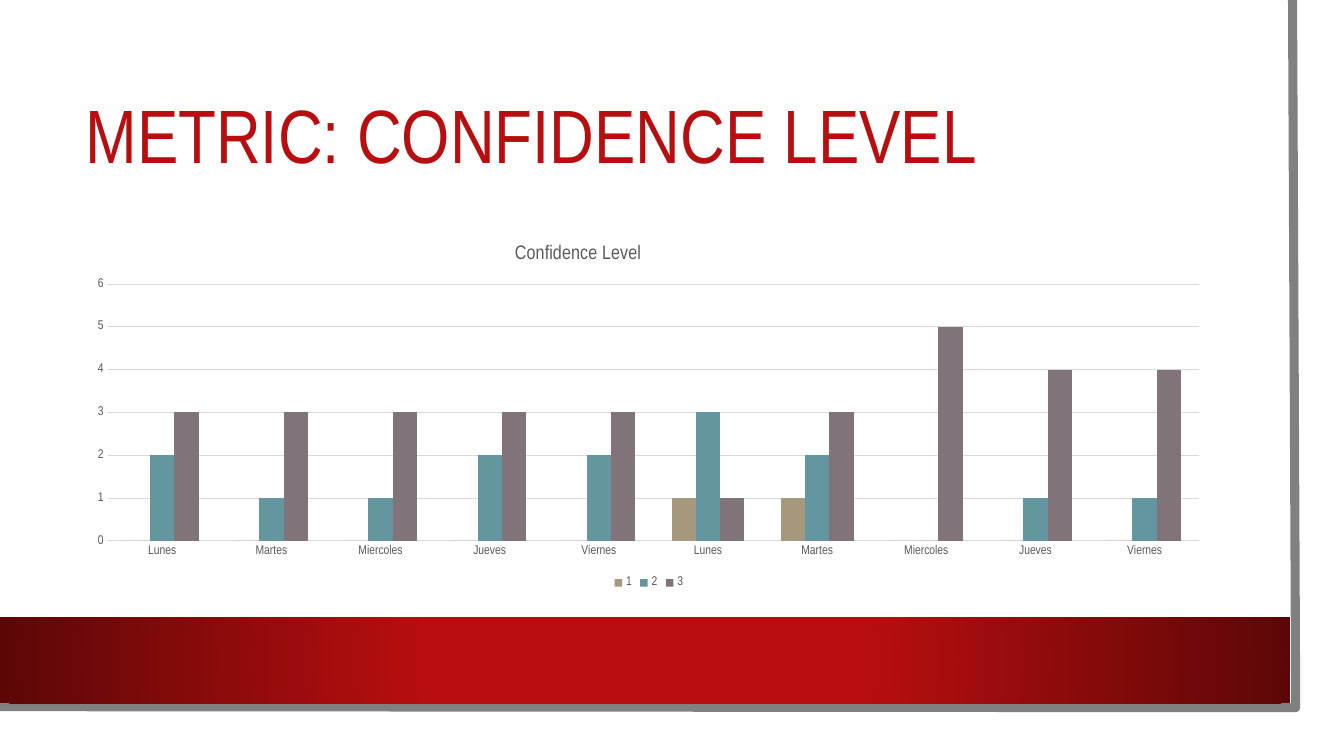
from dataclasses import dataclass
from lxml import etree
from pptx import Presentation
from pptx.chart.data import CategoryChartData as Data
from pptx.dml.color import RGBColor as Rgb
from pptx.enum.chart import XL_CHART_TYPE as Kind, XL_LEGEND_POSITION as Spot, XL_TICK_MARK as Tick
from pptx.enum.shapes import MSO_SHAPE as Form
from pptx.enum.text import MSO_ANCHOR as Anchor
from pptx.oxml import parse_xml
from pptx.oxml.ns import nsdecls, qn
from pptx.util import Pt

PX = 9525
DAYS = ["Lunes", "Martes", "Miercoles", "Jueves", "Viernes"]
LEVELS = {
    "1": [0, 0, 0, 0, 0, 1, 1, 0, 0, 0],
    "2": [2, 1, 1, 2, 2, 3, 2, 0, 1, 1],
    "3": [3, 3, 3, 3, 3, 1, 3, 5, 4, 4],
}


@dataclass(frozen=True)
class Theme:
    font: str = "Arial Narrow"
    white: str = "FFFFFF"
    red: str = "B80E0F"
    dark: str = "5C0707"
    edge: str = "808080"
    grid: str = "D9D9D9"
    text: str = "595959"
    bars: tuple = ("A6987D", "64969F", "80737A")
    head: int = 54
    title: int = 14
    label: int = 9
    frame: float = 6.5
    rule: float = 0.75


THEME = Theme()


def emu(box):
    return [n * PX for n in box]


def color(code):
    return Rgb.from_string(code)


def style(font, size, code):
    font.name = THEME.font
    font.size = Pt(size)
    font.bold = False
    font.color.rgb = color(code)


def block(slide, box):
    shape = slide.shapes.add_shape(Form.RECTANGLE, *emu(box))
    shape.shadow.inherit = False
    shape.line.fill.background()
    return shape


def panel(slide, box):
    fill = block(slide, box).fill
    fill.solid()
    fill.fore_color.rgb = color(THEME.white)


def frame(slide, box):
    x, y, w, h = box
    pen = slide.shapes.build_freeform(x + w - 3, y, scale=PX)
    pen.add_line_segments([(x + w, y + h), (x, y + h - 1)], close=False)
    edge = pen.convert_to_shape()
    edge.shadow.inherit = False
    edge.fill.background()
    edge.line.color.rgb = color(THEME.edge)
    edge.line.width = Pt(THEME.frame)


def band(slide, box):
    shape = block(slide, box)
    shape.fill.gradient()
    marks = ((0.34, THEME.red), (1, THEME.dark))
    for stop, (pos, code) in zip(shape.fill.gradient_stops, marks):
        stop.position = pos
        stop.color.rgb = color(code)
    grad = shape.element.spPr.find(qn("a:gradFill"))
    grad.remove(grad.find(qn("a:lin")))
    ray = etree.SubElement(grad, qn("a:path"), {"path": "circle"})
    mid = dict.fromkeys("ltrb", "50000")
    etree.SubElement(ray, qn("a:fillToRect"), mid)


def header(slide, box, text):
    frame = slide.shapes.add_textbox(*emu(box)).text_frame
    frame.word_wrap = True
    frame.vertical_anchor = Anchor.MIDDLE
    frame.text = text
    para = frame.paragraphs[0]
    para.line_spacing = 0.9
    style(para.runs[0].font, THEME.head, THEME.red)


def place(node, index, **parts):
    for old in node.findall(qn("c:layout")):
        node.remove(old)
    body = "".join(f'<c:{key} val="{val}"/>' for key, val in parts.items())
    node.insert(index, parse_xml(
        f'<c:layout {nsdecls("c")}><c:manualLayout>{body}</c:manualLayout></c:layout>'))


def graph(slide, box, text):
    data = Data()
    data.categories = DAYS * 2
    for name, vals in LEVELS.items():
        data.add_series(name, vals)
    chart = slide.shapes.add_chart(Kind.COLUMN_CLUSTERED, *emu(box), data).chart
    style(chart.font, THEME.label, THEME.text)

    chart.has_title = True
    title = chart.chart_title
    title.text_frame.text = text
    style(title.text_frame.paragraphs[0].runs[0].font, THEME.title, THEME.text)
    title.include_in_layout = False

    chart.has_legend = True
    chart.legend.position = Spot.BOTTOM
    chart.legend.include_in_layout = False
    style(chart.legend.font, THEME.label, THEME.text)

    for axis in (chart.category_axis, chart.value_axis):
        axis.major_tick_mark = axis.minor_tick_mark = Tick.NONE
        axis.format.line.fill.background()
        style(axis.tick_labels.font, THEME.label, THEME.text)
    scale = chart.value_axis
    scale.minimum_scale, scale.maximum_scale, scale.major_unit = 0, 6, 1
    rule = scale.major_gridlines.format.line
    rule.color.rgb = color(THEME.grid)
    rule.width = Pt(THEME.rule)

    plot = chart.plots[0]
    plot.gap_width = 150
    plot.overlap = 0
    plot.vary_by_categories = False
    for row, code in zip(plot.series, THEME.bars):
        row.format.fill.solid()
        row.format.fill.fore_color.rgb = color(code)

    root = chart.element if hasattr(chart, "element") else chart._chartSpace
    place(root.find(f'.//{qn("c:title")}'), 1, xMode="edge", yMode="edge", x=0.38, y=0.03)
    place(root.find(f'.//{qn("c:plotArea")}'), 0, layoutTarget="inner", xMode="edge",
          yMode="edge", x=0.028, y=0.154, w=0.952, h=0.703)


def build(deck):
    slide = deck.slides.add_slide(deck.slide_layouts[6])
    panel(slide, (0, 0, 1258, 698))
    frame(slide, (-3, 0, 1237, 674))
    band(slide, (0, 588, 1229, 82))
    header(slide, (72, 72, 1092, 121), "METRIC: CONFIDENCE LEVEL")
    graph(slide, (72, 217, 1092, 348), "Confidence Level")


def main():
    deck = Presentation()
    deck.slide_width, deck.slide_height = emu((1280, 720))
    build(deck)
    deck.save("out.pptx")


if __name__ == "__main__":
    main()
